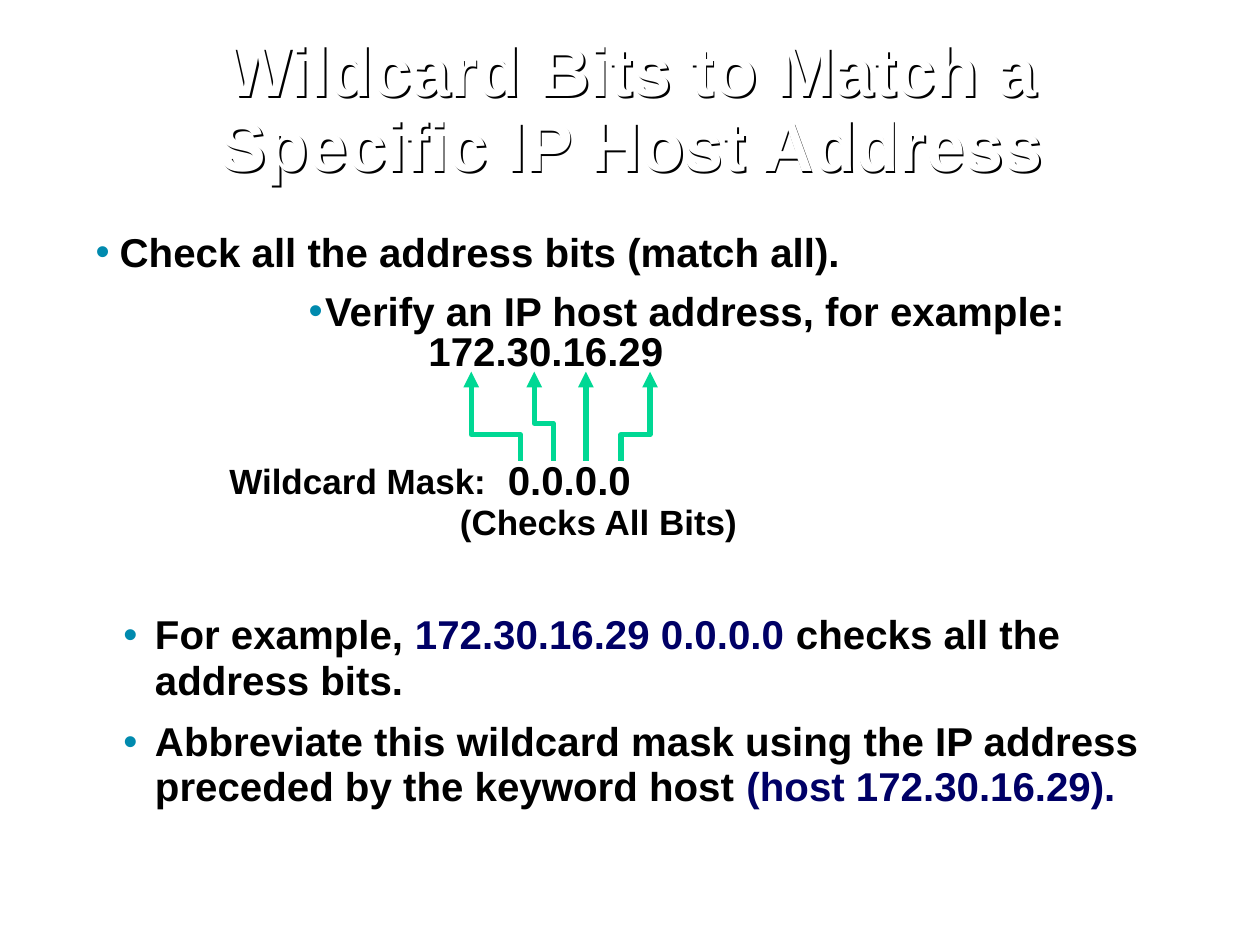
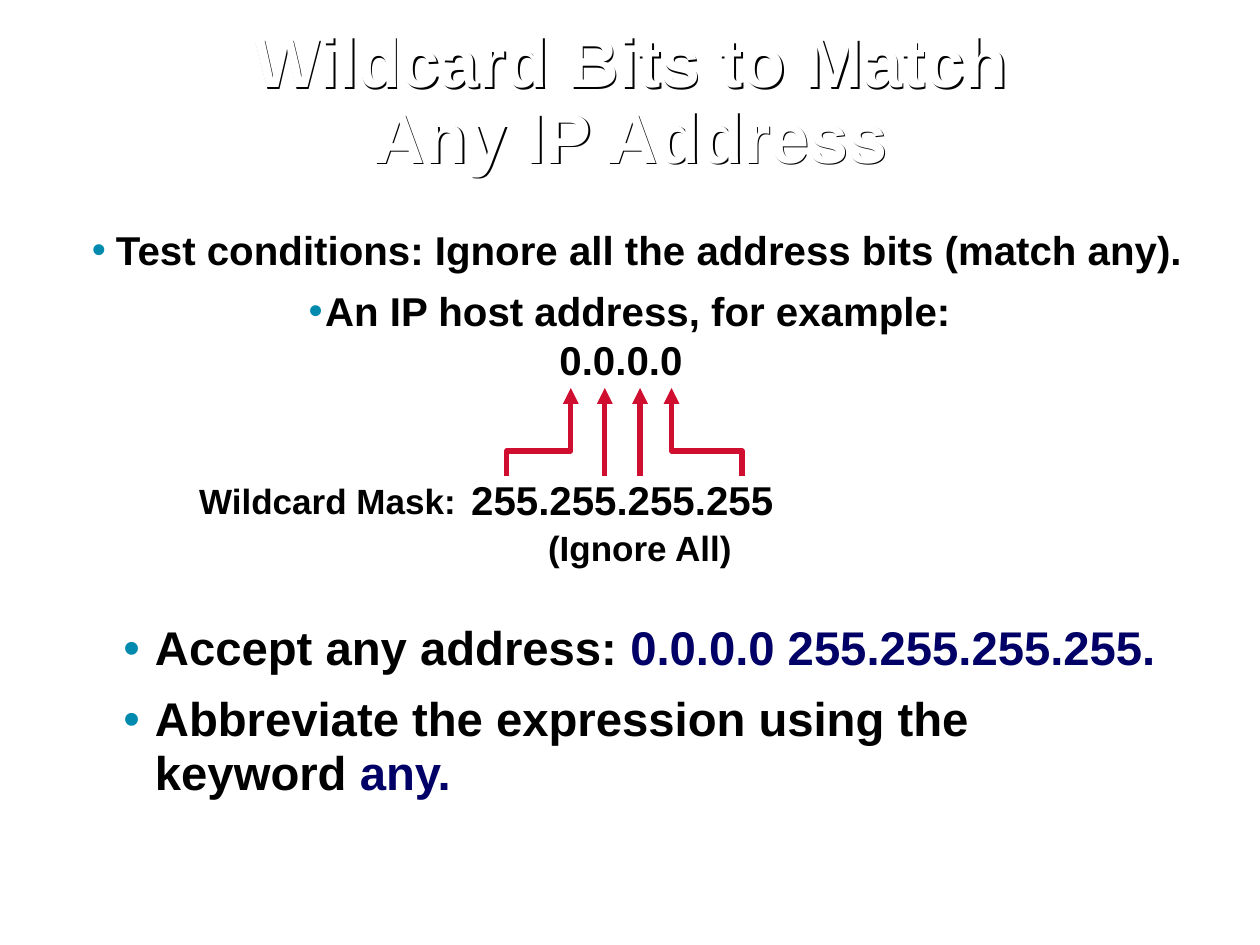
from dataclasses import dataclass

from lxml.etree import SubElement
from pptx import Presentation
from pptx.dml.color import RGBColor
from pptx.enum.shapes import MSO_CONNECTOR as CONN
from pptx.enum.text import MSO_ANCHOR as ANCHOR, PP_ALIGN as ALIGN
from pptx.oxml.ns import qn
from pptx.util import Inches, Pt

COLORS = {"title": "FFFFFF", "shadow": "000000", "text": "000000",
          "code": "000066", "bullet": "008AAE", "match": "00D894", "ignore": "CF0E30"}
FONT = "Arial"
COLS, ROWS = 100, 75
CELL = Inches(0.1)


@dataclass
class Box:
    x: float
    y: float
    w: float
    h: float

    def inside(self, dx, dy, w, h):
        return Box(self.x + dx, self.y + dy, w, h)

    def emu(self):
        return [round(v * CELL) for v in (self.x, self.y, self.w, self.h)]


def rgb(name):
    return RGBColor.from_string(COLORS[name])


def add_run(p, text, size, color="text"):
    r = p.add_run()
    r.text = text
    f = r.font
    f.name, f.size, f.bold = FONT, Pt(size), True
    f.color.rgb = rgb(color)


def set_frame(tf, mx, my, wrap, anchor):
    tf.margin_left = tf.margin_right = Inches(mx)
    tf.margin_top = tf.margin_bottom = Inches(my)
    tf.word_wrap = wrap
    tf.vertical_anchor = anchor


def set_bullet(p, left, hang):
    pPr = p._p.get_or_add_pPr()
    pPr.set("marL", str(Inches(left)))
    pPr.set("indent", str(-Inches(hang)))
    clr = SubElement(pPr, qn("a:buClr"))
    SubElement(clr, qn("a:srgbClr"), val=COLORS["bullet"])
    SubElement(pPr, qn("a:buFont"), typeface=FONT)
    SubElement(pPr, qn("a:buChar"), char="•")


def add_title(s, box, text):
    sp = s.shapes.title
    sp.left, sp.top, sp.width, sp.height = box.emu()
    sp.fill.background()
    sp.line.fill.background()
    fx = SubElement(sp._element.spPr, qn("a:effectLst"))
    shadow = SubElement(fx, qn("a:outerShdw"), blurRad="0", dist=str(Pt(1.41)),
                        dir="2700000", algn="ctr", rotWithShape="0")
    SubElement(shadow, qn("a:srgbClr"), val=COLORS["shadow"])
    tf = sp.text_frame
    set_frame(tf, 0.09, 0.04, True, ANCHOR.MIDDLE)
    p = tf.paragraphs[0]
    p.alignment, p.line_spacing = ALIGN.CENTER, 0.9
    add_run(p, text, 40, "title")


def add_line(s, box, text, size=23, spacing=27, hang=0):
    tf = s.shapes.add_textbox(*box.emu()).text_frame
    set_frame(tf, 0.04, 0.06, False, ANCHOR.TOP)
    p = tf.paragraphs[0]
    p.line_spacing = Pt(spacing)
    if hang:
        set_bullet(p, hang, hang)
    add_run(p, text, size)


def add_summary(s, box, points, size, gap):
    tf = s.shapes.add_textbox(*box.emu()).text_frame
    set_frame(tf, 0.09, 0.04, True, ANCHOR.MIDDLE)
    for i, parts in enumerate(points):
        p = tf.paragraphs[0] if i == 0 else tf.add_paragraph()
        p.line_spacing = 0.95
        p.space_before = Pt(gap if i else 0)
        set_bullet(p, 0.63, 0.25)
        for text, color in parts:
            for j, piece in enumerate(text.split("\n")):
                if j:
                    p.add_line_break()
                add_run(p, piece, size, color)


def add_arrow(s, points, color):
    pts = [(round(x * CELL), round(y * CELL)) for x, y in points]
    if len(pts) == 2:
        sp = s.shapes.add_connector(CONN.STRAIGHT, *pts[0], *pts[1])
        SubElement(sp._element.spPr, qn("a:effectLst"))
    else:
        fb = s.shapes.build_freeform(*pts[0])
        fb.add_line_segments(pts[1:], close=False)
        sp = fb.convert_to_shape()
        sp.fill.background()
        sp.shadow.inherit = False
    sp.line.color.rgb = rgb(color)
    sp.line.width = Pt(3)
    ln = sp.line._get_or_add_ln()
    SubElement(ln, qn("a:round"))
    SubElement(ln, qn("a:headEnd"), type="triangle")


def add_mask_diagram(s, box, intro, address, mask, note, label_at, arrows, span, color):
    add_line(s, box.inside(9.1, 0.2, 62, 5.6), intro, hang=0.13)
    for text, at, width in (address, mask):
        add_line(s, box.inside(*at, width, 5.6), text)
    text, at = note
    add_line(s, box.inside(*at, 24.4, 3.6), text, size=20)
    add_line(s, box.inside(*label_at, 26.3, 5.2), "Wildcard Mask:", size=20, spacing=23.6)
    top, bottom = span
    for tip, tail, bend in arrows:
        elbow = [] if tip == tail else [(tip, bend), (tail, bend)]
        path = [(tip, top), *elbow, (tail, bottom)]
        add_arrow(s, [(box.x + x, box.y + y) for x, y in path], color)


def add_slide(prs, title_box, title, lead_box, lead, diagram, points, size, gap):
    s = prs.slides.add_slide(prs.slide_layouts[5])
    add_summary(s, Box(5.1, 45.5, 89.9, 22), points, size, gap)
    add_line(s, lead_box, lead, hang=0.19)
    add_title(s, title_box, title)
    add_mask_diagram(s, Box(15, 22, 70, 24), **diagram)


def main():
    prs = Presentation()
    prs.slide_width, prs.slide_height = COLS * CELL, ROWS * CELL

    add_slide(
        prs, Box(8.4, 2.6, 83.4, 12.5), "Wildcard Bits to Match a Specific IP Host Address",
        Box(7.2, 17.5, 88, 5.6), "Check all the address bits (match all).",
        dict(intro="Verify an IP host address, for example:",
             address=("172.30.16.29", (18.6, 3.4), 22.5),
             mask=("0.0.0.0", (24.9, 13.6), 15.2),
             note=("(Checks All Bits)", (21.1, 16.7)),
             label_at=(2.8, 13.9),
             arrows=[(22.4, 26.3, 12.5), (27.4, 28.9, 11.6),
                     (31.5, 31.5, None), (36.6, 34.3, 12.5)],
             span=(7.5, 14.6), color="match"),
        [[("For example, ", "text"), ("172.30.16.29 0.0.0.0", "code"),
          (" checks all the\naddress bits.", "text")],
         [("Abbreviate this wildcard mask using the IP address\n"
           "preceded by the keyword host ", "text"),
          ("(host 172.30.16.29).", "code")]],
        size=23, gap=8.6)

    add_slide(
        prs, Box(17.8, 1.9, 64.5, 12.5), "Wildcard Bits to Match Any IP Address",
        Box(6.9, 17.4, 88, 5.6), "Test conditions: Ignore all the address bits (match any).",
        dict(intro="An IP host address, for example:",
             address=("0.0.0.0", (29, 4.1), 22.5),
             mask=("255.255.255.255", (22, 15.2), 26.7),
             note=("(Ignore All)", (28.1, 18.8)),
             label_at=(0.4, 15.5),
             arrows=[(30.3, 25.2, 13.8), (33, 33, None),
                     (35.8, 35.8, None), (38.3, 43.9, 13.8)],
             span=(8.8, 15.8), color="ignore"),
        [[("Accept any address: ", "text"), ("0.0.0.0 255.255.255.255.", "code")],
         [("Abbreviate the expression using the\nkeyword ", "text"), ("any.", "code")]],
        size=27, gap=10.1)

    prs.save("out.pptx")


if __name__ == "__main__":
    main()
